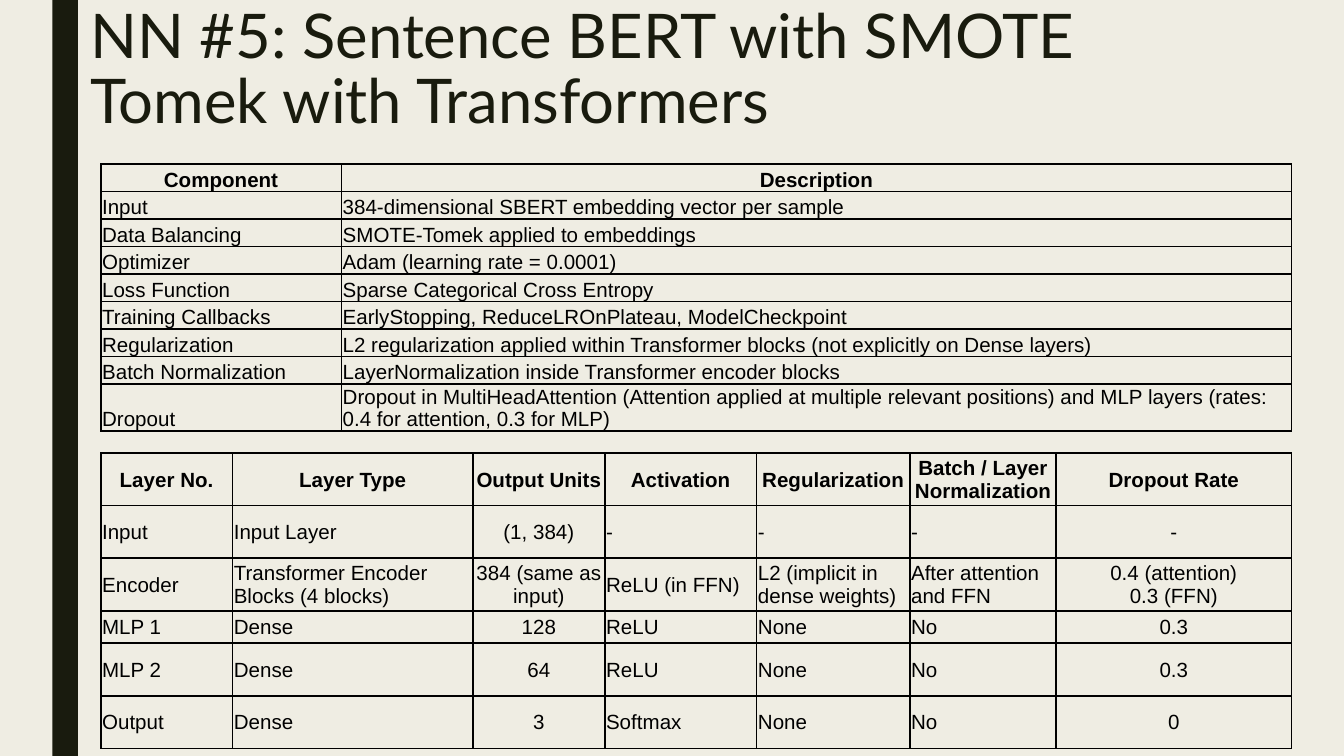
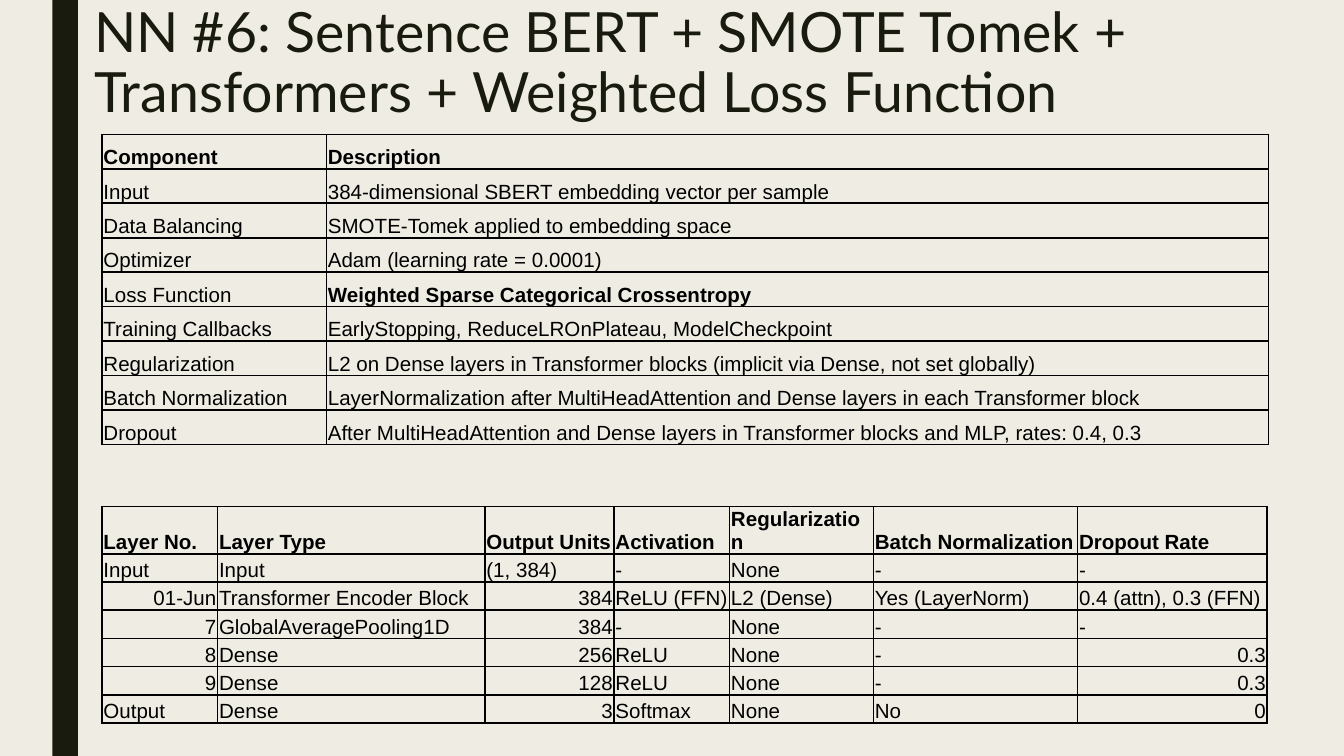
from lxml import etree
from pptx import Presentation
from pptx.dml.color import RGBColor
from pptx.enum.shapes import MSO_SHAPE
from pptx.enum.text import MSO_ANCHOR, MSO_AUTO_SIZE, PP_ALIGN
from pptx.oxml.ns import qn
from pptx.util import Inches, Pt

COLORS = {"background": "EFEDE3", "dark": "191B0E", "text": "000000"}
TITLE_FONT, TABLE_FONT = "Lato", "Arial"
TITLE_ONLY = 5
LEFT, CENTER, RIGHT = PP_ALIGN.LEFT, PP_ALIGN.CENTER, PP_ALIGN.RIGHT

COMPONENTS_5 = [
    ("Component", "Description"),
    ("Input", "384-dimensional SBERT embedding vector per sample"),
    ("Data Balancing", "SMOTE-Tomek applied to embeddings"),
    ("Optimizer", "Adam (learning rate = 0.0001)"),
    ("Loss Function", "Sparse Categorical Cross Entropy"),
    ("Training Callbacks", "EarlyStopping, ReduceLROnPlateau, ModelCheckpoint"),
    ("Regularization", "L2 regularization applied within Transformer blocks "
                       "(not explicitly on Dense layers)"),
    ("Batch Normalization", "LayerNormalization inside Transformer encoder blocks"),
    ("Dropout", "Dropout in MultiHeadAttention (Attention applied at multiple relevant "
                "positions) and MLP layers (rates: 0.4 for attention, 0.3 for MLP)"),
]
LAYERS_5 = [
    ("Layer No.", "Layer Type", "Output Units", "Activation", "Regularization",
     "Batch / Layer Normalization", "Dropout Rate"),
    ("Input", "Input Layer", "(1, 384)", "-", "-", "-", "-"),
    ("Encoder", "Transformer Encoder Blocks (4 blocks)", "384 (same as input)",
     "ReLU (in FFN)", "L2 (implicit in dense weights)", "After attention and FFN",
     "0.4 (attention)\n0.3 (FFN)"),
    ("MLP 1", "Dense", "128", "ReLU", "None", "No", "0.3"),
    ("MLP 2", "Dense", "64", "ReLU", "None", "No", "0.3"),
    ("Output", "Dense", "3", "Softmax", "None", "No", "0"),
]
COMPONENTS_6 = [
    ("Component", "Description"),
    ("Input", "384-dimensional SBERT embedding vector per sample"),
    ("Data Balancing", "SMOTE-Tomek applied to embedding space"),
    ("Optimizer", "Adam (learning rate = 0.0001)"),
    ("Loss Function", "Weighted Sparse Categorical Crossentropy"),
    ("Training Callbacks", "EarlyStopping, ReduceLROnPlateau, ModelCheckpoint"),
    ("Regularization", "L2 on Dense layers in Transformer blocks "
                       "(implicit via Dense, not set globally)"),
    ("Batch Normalization", "LayerNormalization after MultiHeadAttention and Dense "
                            "layers in each Transformer block"),
    ("Dropout", "After MultiHeadAttention and Dense layers in Transformer blocks "
                "and MLP, rates: 0.4, 0.3"),
]
LAYERS_6 = [
    ("Layer No.", "Layer Type", "Output Units", "Activation", "Regularization",
     "Batch Normalization", "Dropout Rate"),
    ("Input", "Input", "(1, 384)", "-", "None", "-", "-"),
    ("01-Jun", "Transformer Encoder Block", "384", "ReLU (FFN)", "L2 (Dense)",
     "Yes (LayerNorm)", "0.4 (attn), 0.3 (FFN)"),
    ("7", "GlobalAveragePooling1D", "384", "-", "None", "-", "-"),
    ("8", "Dense", "256", "ReLU", "None", "-", "0.3"),
    ("9", "Dense", "128", "ReLU", "None", "-", "0.3"),
    ("Output", "Dense", "3", "Softmax", "None", "No", "0"),
]


def rgb(name):
    return RGBColor.from_string(COLORS[name])


def set_font(p, name, size, color, bold=False):
    p.font.name, p.font.size, p.font.bold = name, Pt(size), bold
    p.font.color.rgb = rgb(color)


def add_slide(prs, title, left, width, height, size):
    """Add a slide with the side band and a formatted title."""
    s = prs.slides.add_slide(prs.slide_layouts[TITLE_ONLY])
    # Side band
    band = s.shapes.add_shape(MSO_SHAPE.RECTANGLE, Inches(0.39), 0,
                              Inches(0.19), prs.slide_height)
    band.shadow.inherit = False
    band.fill.solid()
    band.fill.fore_color.rgb = rgb("dark")
    band.line.fill.background()
    # Title
    sp = s.shapes.title
    sp.left, sp.top, sp.width, sp.height = Inches(left), 0, Inches(width), Inches(height)
    tf = sp.text_frame
    tf.text = title
    tf.word_wrap, tf.auto_size = True, MSO_AUTO_SIZE.NONE
    tf.vertical_anchor = MSO_ANCHOR.TOP
    tf.margin_left = tf.margin_right = Inches(0.07)
    tf.margin_top = tf.margin_bottom = Inches(0.04)
    p = tf.paragraphs[0]
    p.alignment, p.line_spacing = LEFT, 0.89
    set_font(p, TITLE_FONT, size, "dark")
    return s


def add_borders(cell):
    tc_pr = cell._tc.get_or_add_tcPr()
    for side in ("a:lnL", "a:lnR", "a:lnT", "a:lnB"):
        ln = etree.SubElement(tc_pr, qn(side), w=str(Pt(1)))
        fill = etree.SubElement(ln, qn("a:solidFill"))
        etree.SubElement(fill, qn("a:srgbClr"), val=COLORS["text"])


def add_grid(s, rows, left, top, widths, heights, anchor, align, bold_cells=()):
    """Add a ruled table; align(row, column, text) gives each cell's alignment."""
    frame = s.shapes.add_table(len(rows), len(widths), Inches(left), Inches(top),
                               Inches(sum(widths)), Inches(sum(heights)))
    table = frame.table
    table.first_row = table.horz_banding = False
    for column, width in zip(table.columns, widths):
        column.width = Inches(width)
    for row, height in zip(table.rows, heights):
        row.height = Inches(height)
    for i, row in enumerate(rows):
        for j, text in enumerate(row):
            cell = table.cell(i, j)
            cell.text = text
            cell.vertical_anchor = anchor
            cell.margin_left = cell.margin_right = cell.margin_top = Inches(0.01)
            cell.margin_bottom = 0
            add_borders(cell)
            cell.fill.background()
            for p in cell.text_frame.paragraphs:
                p.alignment = align(i, j, text)
                set_font(p, TABLE_FONT, 11, "text", i == 0 or (i, j) in bold_cells)


def center_header(i, j, text):
    return CENTER if i == 0 else LEFT


def center_units_and_rate(i, j, text):
    return CENTER if i == 0 or j in (2, 6) else LEFT


def numbers_right(i, j, text):
    return RIGHT if text[0].isdigit() and " " not in text else LEFT


def main():
    prs = Presentation()
    prs.slide_width = Inches(10)
    prs.slide_height = prs.slide_width * 9 // 16
    background = prs.slide_master.background.fill
    background.solid()
    background.fore_color.rgb = rgb("background")

    # Network 5
    s = add_slide(prs, "NN #5: Sentence BERT with SMOTE Tomek with Transformers",
                  0.6, 7.88, 1.22, 33)
    add_grid(s, COMPONENTS_5, 0.75, 1.22, [1.79, 7.07], [1.64 / 8] * 9,
             MSO_ANCHOR.BOTTOM, center_header)
    tall = (2.2 - 0.24) / 5
    add_grid(s, LAYERS_5, 0.75, 3.37, [0.98, 1.79, 0.98, 1.13, 1.14, 1.09, 1.75],
             [tall] * 3 + [0.24] + [tall] * 2, MSO_ANCHOR.MIDDLE, center_units_and_rate)

    # Network 6
    s = add_slide(prs, "NN #6: Sentence BERT + SMOTE Tomek + Transformers + "
                       "Weighted Loss Function", 0.63, 9.2, 1, 29.7)
    add_grid(s, COMPONENTS_6, 0.76, 1, [1.67, 7.01], [2.31 / 9] * 9,
             MSO_ANCHOR.BOTTOM, numbers_right, bold_cells=[(4, 1)])
    add_grid(s, LAYERS_6, 0.76, 3.77, [0.86, 1.99, 0.96, 0.86, 1.07, 1.52, 1.41],
             [0.2] + [0.21] * 6, MSO_ANCHOR.BOTTOM, numbers_right)

    prs.save("out.pptx")


if __name__ == "__main__":
    main()
